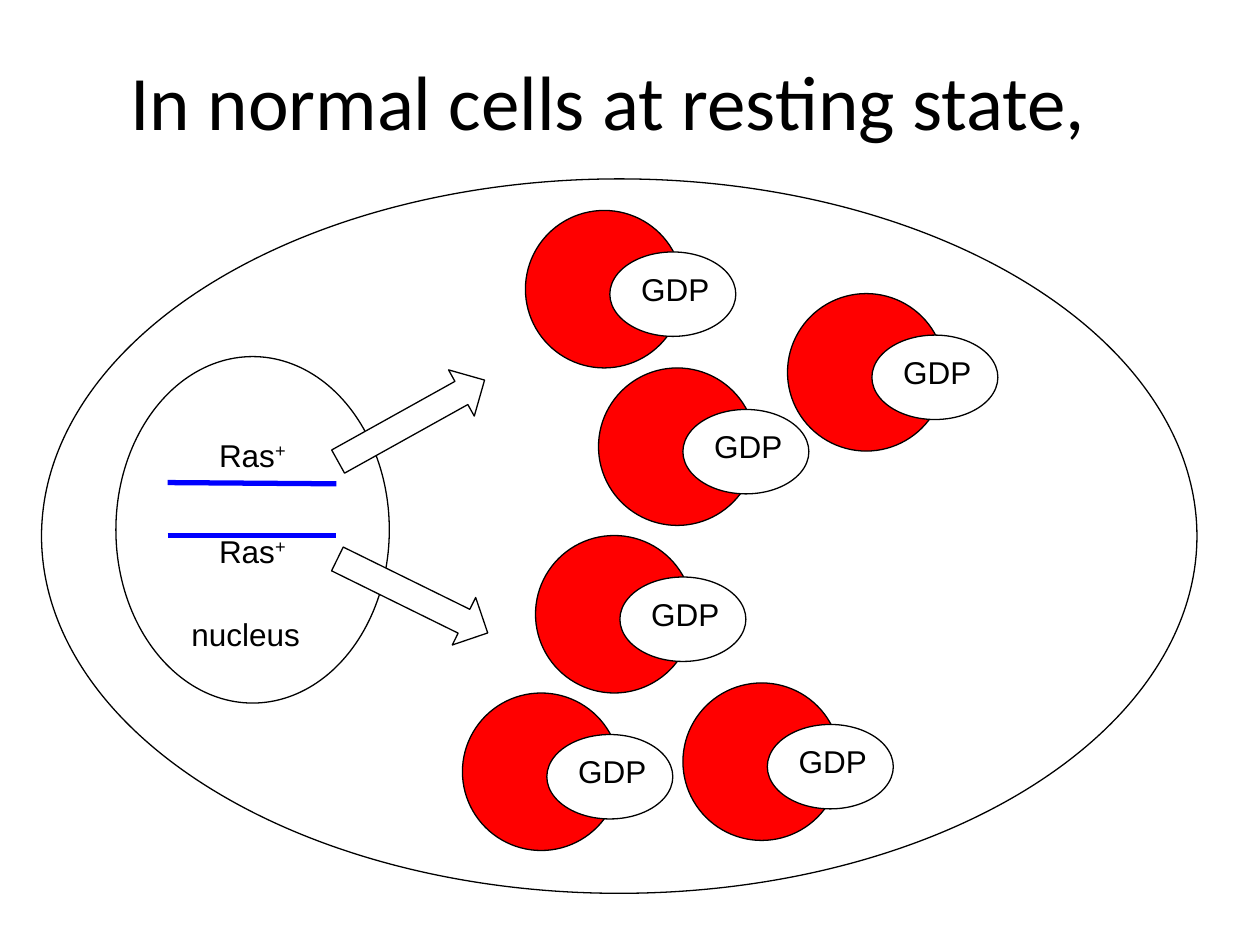
from lxml.etree import SubElement
from pptx import Presentation
from pptx.dml.color import RGBColor
from pptx.enum.shapes import MSO_CONNECTOR, MSO_SHAPE
from pptx.enum.text import MSO_ANCHOR, MSO_AUTO_SIZE, PP_ALIGN
from pptx.oxml.ns import qn
from pptx.util import Inches, Pt

BLACK = RGBColor(0, 0, 0)
WHITE = RGBColor(255, 255, 255)
RED = RGBColor(255, 0, 0)
BLUE = RGBColor(0, 0, 255)

TITLE = "In normal cells at resting state,"
CELL = (0.33, 1.42, 9.17, 5.67)
NUCLEUS = (0.92, 2.83, 2.17, 2.75)
GENE_LINES = [(1.33, 3.83, 2.67, 3.84), (1.33, 4.25, 2.67, 4.25)]
# Each label: left, top, width, then (text, is superscript) runs
RAS = [("Ras", False), ("+", True)]
LABELS = [
    (1.42, 4.83, 1.06, [("nucleus", False)]),
    (1.64, 3.41, 0.73, RAS),
    (1.64, 4.17, 0.73, RAS),
]
# Each arrow: left, top, rotation
ARROWS = [(2.6, 3.13, 330.9), (2.61, 4.52, 26.2)]
# Top left corner of each Ras protein
PROTEINS = [(4.17, 1.67), (3.67, 5.5), (4.25, 4.25),
            (5.42, 5.42), (6.25, 2.33), (4.75, 2.92)]


def add_outlined(slide, kind, place, fill=None):
    shape = slide.shapes.add_shape(kind, *map(Inches, place))
    shape.shadow.inherit = False
    if fill is None:
        shape.fill.background()
    else:
        shape.fill.solid()
        shape.fill.fore_color.rgb = fill
    shape.line.color.rgb = BLACK
    shape.line.width = Pt(0.75)
    return shape


def add_span(para, text, font, size):
    span = para.add_run()
    span.text = text
    span.font.name = font
    span.font.size = Pt(size)
    span.font.color.rgb = BLACK
    return span


def add_label(slide, left, top, width, runs):
    box = slide.shapes.add_textbox(*map(Inches, (left, top, width, 0.4)))
    frame = box.text_frame
    frame.word_wrap = False
    frame.auto_size = MSO_AUTO_SIZE.SHAPE_TO_FIT_TEXT
    for text, superscript in runs:
        span = add_span(frame.paragraphs[0], text, "Arial", 18)
        if superscript:
            span.font._element.set("baseline", "30000")


def add_gene_line(slide, ends):
    line = slide.shapes.add_connector(MSO_CONNECTOR.STRAIGHT, *map(Inches, ends))
    line.line.color.rgb = BLUE
    line.line.width = Pt(3)
    SubElement(line._element.spPr, qn("a:effectLst"))


def add_protein(slide, left, top):
    """Draw a Ras protein with GDP bound at its right edge."""
    add_outlined(slide, MSO_SHAPE.OVAL, (left, top, 1.25, 1.25), RED)
    add_outlined(slide, MSO_SHAPE.OVAL, (left + 0.67, top + 0.33, 1, 0.67), WHITE)
    add_label(slide, left + 0.82, top + 0.42, 0.74, [("GDP", False)])


def main():
    deck = Presentation()
    deck.slide_width, deck.slide_height = Inches(10), Inches(7.5)
    slide = deck.slides.add_slide(deck.slide_layouts[5])

    title = slide.shapes.title
    title.left, title.top = Inches(0.58), Inches(0.25)
    title.width, title.height = Inches(8.5), Inches(1.08)
    title.text_frame.vertical_anchor = MSO_ANCHOR.MIDDLE
    para = title.text_frame.paragraphs[0]
    para.alignment = PP_ALIGN.CENTER
    add_span(para, TITLE, "Calibri", 44)

    for place in (CELL, NUCLEUS):
        add_outlined(slide, MSO_SHAPE.OVAL, place)
    for ends in GENE_LINES:
        add_gene_line(slide, ends)
    for label in LABELS:
        add_label(slide, *label)
    for left, top, rotation in ARROWS:
        arrow = add_outlined(slide, MSO_SHAPE.RIGHT_ARROW, (left, top, 1.33, 0.42), WHITE)
        arrow.rotation = rotation
    for corner in PROTEINS:
        add_protein(slide, *corner)

    deck.save("out.pptx")


if __name__ == "__main__":
    main()
